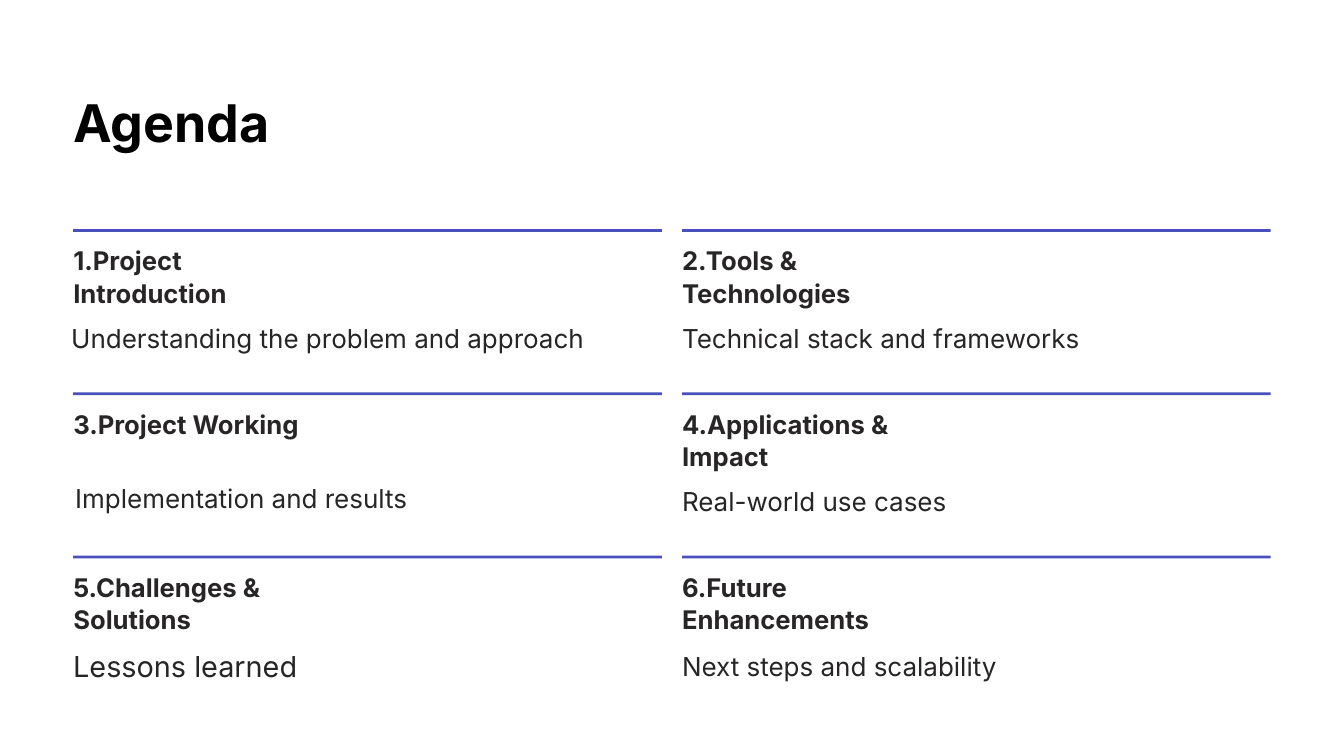
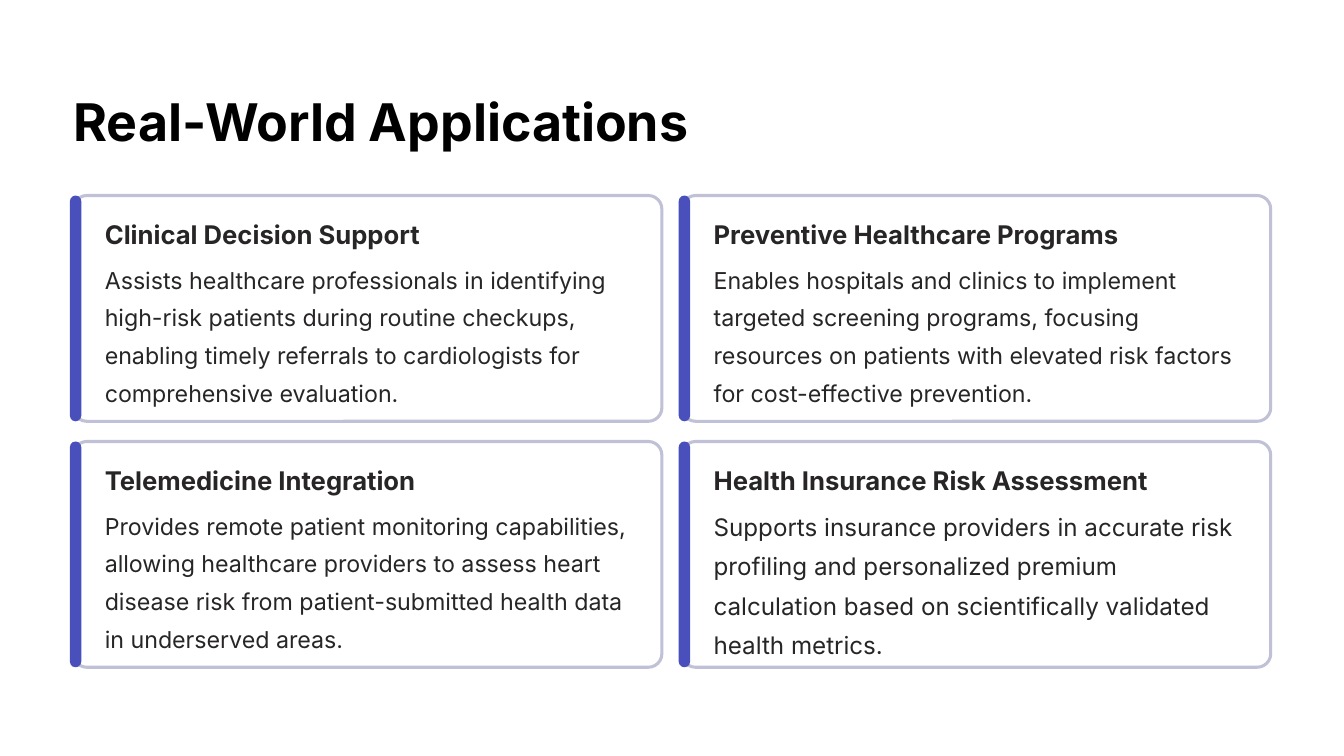
import pptx
import pptx.util
import pptx.dml.color
import pptx.enum.shapes
import pptx.enum.text

Inches = pptx.util.Inches
Pt = pptx.util.Pt
KIND = pptx.enum.shapes.MSO_SHAPE

FONT = "Inter"
COLORS = {"page": "FFFFFF", "title": "000000", "text": "272525",
          "accent": "4950BC", "border": "C0C1D7"}
LEFT, PITCH, WIDE = 1.09, 9.06, 8.76
LEAD = 1.627

TOPICS = [
    ("1.Project Introduction", 3.88, "Understanding the problem and approach", -0.03, 1.22, 27.9),
    ("2.Tools & Technologies", 4.02, "Technical stack and frameworks", 0, 1.22, 27.9),
    ("3.Project Working", 3.88, "Implementation and results", 0.03, 1.17, 27.9),
    ("4.Applications & Impact", 4.14, "Real-world use cases", 0, 1.22, 27.9),
    ("5.Challenges & Solutions", 4.35, "Lessons learned", 0, 1.2, 30.9),
    ("6.Future Enhancements", 4.13, "Next steps and scalability", 0, 1.24, 27.9),
]

USES = [
    ("Clinical Decision Support",
     "Assists healthcare professionals in identifying high-risk patients during routine "
     "checkups, enabling timely referrals to cardiologists for comprehensive evaluation.", 24.9),
    ("Preventive Healthcare Programs",
     "Enables hospitals and clinics to implement targeted screening programs, focusing "
     "resources on patients with elevated risk factors for cost-effective prevention.", 24.9),
    ("Telemedicine Integration",
     "Provides remote patient monitoring capabilities, allowing healthcare providers to "
     "assess heart disease risk from patient-submitted health data in underserved areas.", 24.9),
    ("Health Insurance Risk Assessment",
     "Supports insurance providers in accurate risk profiling and personalized premium "
     "calculation based on scientifically validated health metrics.", 25.9),
]


def color(name):
    return pptx.dml.color.RGBColor.from_string(COLORS[name])


def write(shape, text, size, lead, tone="text", bold=False):
    frame = shape.text_frame
    frame.word_wrap = True
    frame.auto_size = pptx.enum.text.MSO_AUTO_SIZE.NONE
    frame.vertical_anchor = pptx.enum.text.MSO_ANCHOR.TOP
    frame.margin_left = frame.margin_right = frame.margin_top = frame.margin_bottom = 0
    para = frame.paragraphs[0]
    para.text = text
    para.alignment = pptx.enum.text.PP_ALIGN.LEFT
    para.line_spacing = Pt(lead)
    para.space_before = Pt(0)
    para.font.name = FONT
    para.font.size = Pt(size)
    para.font.bold = bold
    para.font.color.rgb = color(tone)


def add_text(slide, x, y, w, h):
    return slide.shapes.add_textbox(Inches(x), Inches(y), Inches(w), Inches(h))


def add_head(slide, text, x, y, w, h):
    write(add_text(slide, x, y, w, h), text, 27.5, 34.4, bold=True)


def add_body(slide, text, size, x, y, w, h):
    write(add_text(slide, x, y, w, h), text, size, round(size * LEAD, 1))


def add_block(slide, kind, x, y, w, h, fill, edge=None, bend=None):
    shape = slide.shapes.add_shape(kind, Inches(x), Inches(y), Inches(w), Inches(h))
    shape.shadow.inherit = False
    shape.fill.solid()
    shape.fill.fore_color.rgb = color(fill)
    if edge:
        shape.line.color.rgb = color(edge)
        shape.line.width = Pt(3.3)
    else:
        shape.line.fill.background()
    if bend is not None:
        shape.adjustments[0] = bend


def add_page(deck, title, y, w):
    slide = deck.slides.add_slide(deck.slide_layouts[5])
    slide.background.fill.solid()
    slide.background.fill.fore_color.rgb = color("page")
    head = slide.shapes.title
    head.left, head.top, head.width, head.height = Inches(LEFT), Inches(y), Inches(w), Inches(1)
    write(head, title, 55.6, 69.4, "title", True)
    return slide


def add_topic(slide, x, y, topic):
    head, wide, note, shift, drop, size = topic
    add_block(slide, KIND.RECTANGLE, x, y, WIDE, 0.04, "accent")
    add_head(slide, head, x, y + 0.22, wide, 0.94)
    add_body(slide, note, size, x + shift, y + drop, WIDE, 0.6)


def add_card(slide, x, y, use):
    head, note, size = use
    high = 3.36
    add_block(slide, KIND.ROUNDED_RECTANGLE, x, y, WIDE, high, "page", "border", 0.06)
    add_block(slide, KIND.ROUNDED_RECTANGLE, x - 0.05, y, 0.17, high, "accent", bend=0.5)
    add_head(slide, head, x + 0.47, y + 0.33, 7.93, 0.51)
    add_body(slide, note, size, x + 0.47, y + 0.9, 7.93, 2.22)


def add_grid(slide, items, top, step, draw):
    for i, item in enumerate(items):
        row, col = divmod(i, 2)
        draw(slide, LEFT + col * PITCH, top + row * step, item)


def main():
    deck = pptx.Presentation()
    deck.slide_width, deck.slide_height = Inches(20), Inches(11.25)
    add_grid(add_page(deck, "Agenda", 1.31, 7.75), TOPICS, 3.41, 2.43, add_topic)
    add_grid(add_page(deck, "Real-World Applications", 1.29, 9.5), USES, 2.91, 3.66, add_card)
    deck.save("out.pptx")


if __name__ == "__main__":
    main()
